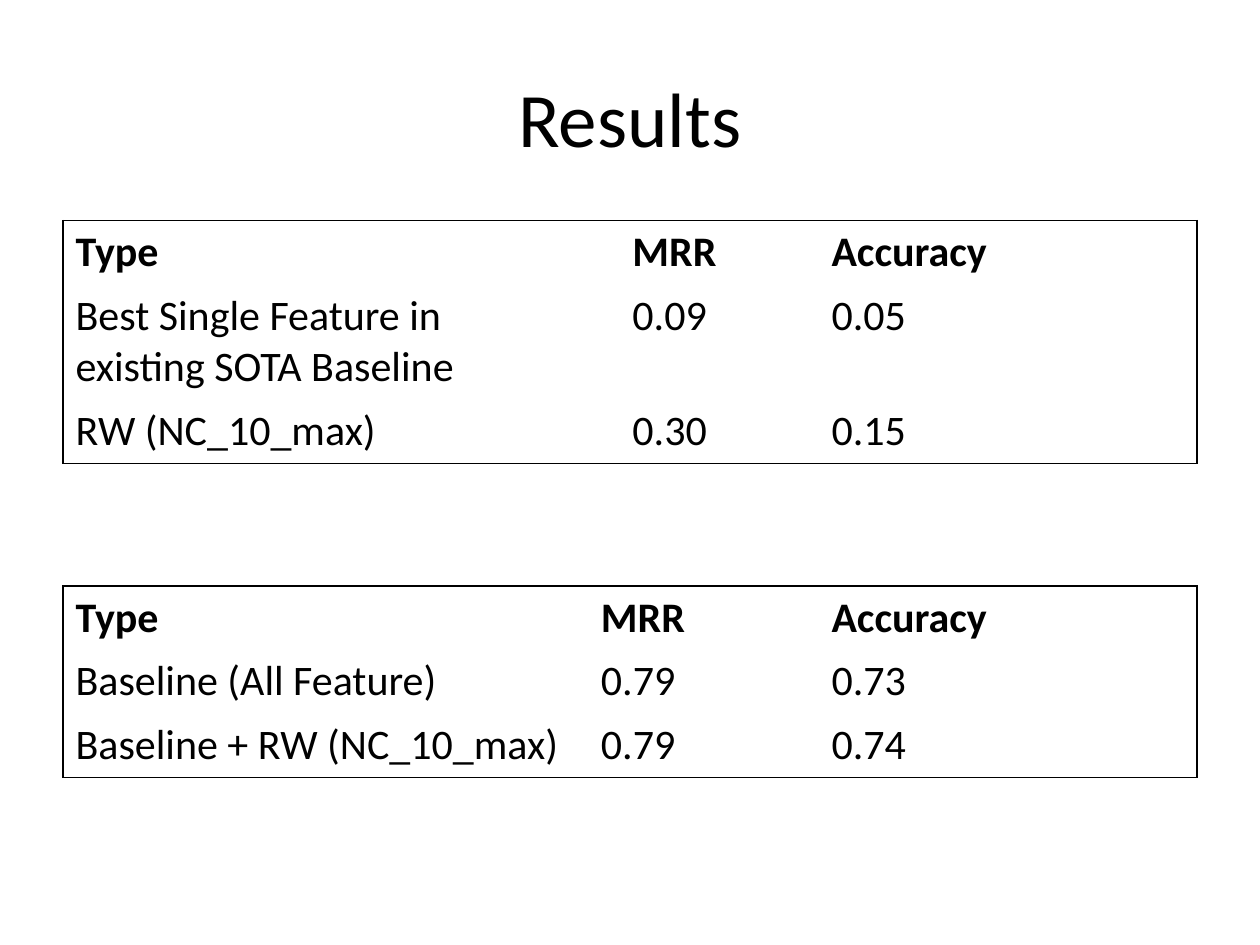
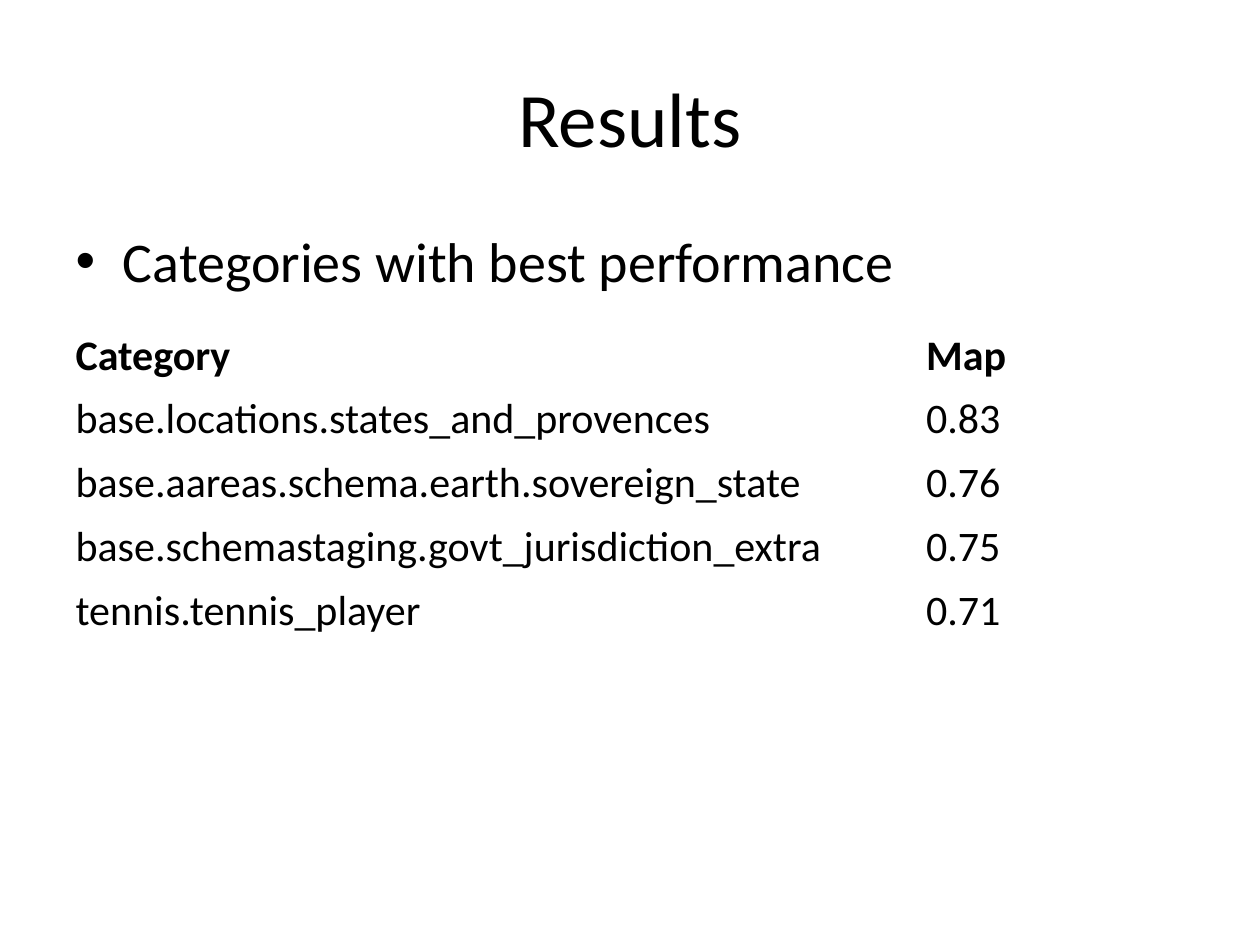
from lxml.etree import SubElement
from pptx import Presentation
from pptx.dml.color import RGBColor
from pptx.enum.text import MSO_ANCHOR, PP_ALIGN
from pptx.oxml.ns import qn
from pptx.util import Inches, Pt

FONT = "Calibri"
INK = "000000"
PLAIN_TABLE_STYLE = "{2D5ABB26-0587-4C30-8999-92F81FD0307C}"
TITLE_ONLY, TITLE_AND_CONTENT = 5, 1
LEFT, WIDTH = 0.5, 9
ROW_HEIGHT = 0.41
TITLE_BOX = (LEFT, 0.3, WIDTH, 1.25)
BODY_BOX = (LEFT, 1.75, WIDTH, 4.95)

FEATURE_ROWS = [
    ("Type", "MRR", "Accuracy"),
    ("Best Single Feature in \nexisting SOTA Baseline", "0.09", "0.05"),
    ("RW (NC_10_max)", "0.30", "0.15"),
]
BASELINE_ROWS = [
    ("Type", "MRR", "Accuracy"),
    ("Baseline (All Feature)", "0.79", "0.73"),
    ("Baseline + RW (NC_10_max)", "0.79", "0.74"),
]
CATEGORY_ROWS = [
    ("Category", "Map"),
    ("base.locations.states_and_provences", "0.83"),
    ("base.aareas.schema.earth.sovereign_state", "0.76"),
    ("base.schemastaging.govt_jurisdiction_extra", "0.75"),
    ("tennis.tennis_player", "0.71"),
]


def color(value):
    return RGBColor.from_string(value)


def write(frame, text, size=24, bold=False, align=PP_ALIGN.LEFT):
    """Fill the first paragraph; a newline becomes a line break."""
    para = frame.paragraphs[0]
    para.text = text
    para.alignment = align
    for span in para.runs:
        span.font.name = FONT
        span.font.size = Pt(size)
        span.font.bold = bold
        span.font.color.rgb = color(INK)


def place(shape, box):
    shape.left, shape.top, shape.width, shape.height = map(Inches, box)


def add_page(deck, layout, title):
    page = deck.slides.add_slide(deck.slide_layouts[layout])
    place(page.shapes.title, TITLE_BOX)
    frame = page.shapes.title.text_frame
    frame.vertical_anchor = MSO_ANCHOR.MIDDLE
    write(frame, title, size=44, align=PP_ALIGN.CENTER)
    return page


def draw_borders(cell, sides):
    """Draw 1 pt lines on the given sides, which must be in the order L, R, T, B."""
    properties = cell._tc.get_or_add_tcPr()
    for side in sides:
        line = SubElement(properties, qn(f"a:ln{side}"), w=str(Pt(1)))
        fill = SubElement(line, qn("a:solidFill"))
        SubElement(fill, qn("a:srgbClr"), val=INK)


def outer_sides(row, column, row_count, column_count):
    edges = {"L": column == 0, "R": column == column_count - 1,
             "T": row == 0, "B": row == row_count - 1}
    return [side for side, is_outer in edges.items() if is_outer]


def add_plain_table(page, top, column_widths, rows, framed=False):
    """Add a table with a bold first row and, if framed, an outline."""
    box = (LEFT, top, sum(column_widths), ROW_HEIGHT * len(rows))
    table = page.shapes.add_table(len(rows), len(column_widths), *map(Inches, box)).table
    table.first_row = table.horz_banding = False
    table._tbl.tblPr.find(qn("a:tableStyleId")).text = PLAIN_TABLE_STYLE
    for column, width in zip(table.columns, column_widths):
        column.width = Inches(width)
    for row_index, row in enumerate(rows):
        for column_index, text in enumerate(row):
            cell = table.cell(row_index, column_index)
            write(cell.text_frame, text, bold=row_index == 0)
            if framed:
                draw_borders(cell, outer_sides(row_index, column_index, len(rows), len(row)))
            cell.fill.background()


def add_comparison_page(deck):
    page = add_page(deck, TITLE_ONLY, "Results")
    add_plain_table(page, 1.75, (4.42, 1.58, 3), FEATURE_ROWS, framed=True)
    add_plain_table(page, 4.65, (4.17, 1.83, 3), BASELINE_ROWS, framed=True)


def add_category_page(deck):
    page = add_page(deck, TITLE_AND_CONTENT, "Results")
    body = page.placeholders[1]
    place(body, BODY_BOX)
    write(body.text_frame, "Categories with best performance", size=32)
    add_plain_table(page, 2.57, (6.75, 2.15), CATEGORY_ROWS)


def main():
    deck = Presentation()
    deck.slide_width, deck.slide_height = Inches(10), Inches(7.5)
    add_comparison_page(deck)
    add_category_page(deck)
    deck.save("out.pptx")


if __name__ == "__main__":
    main()
